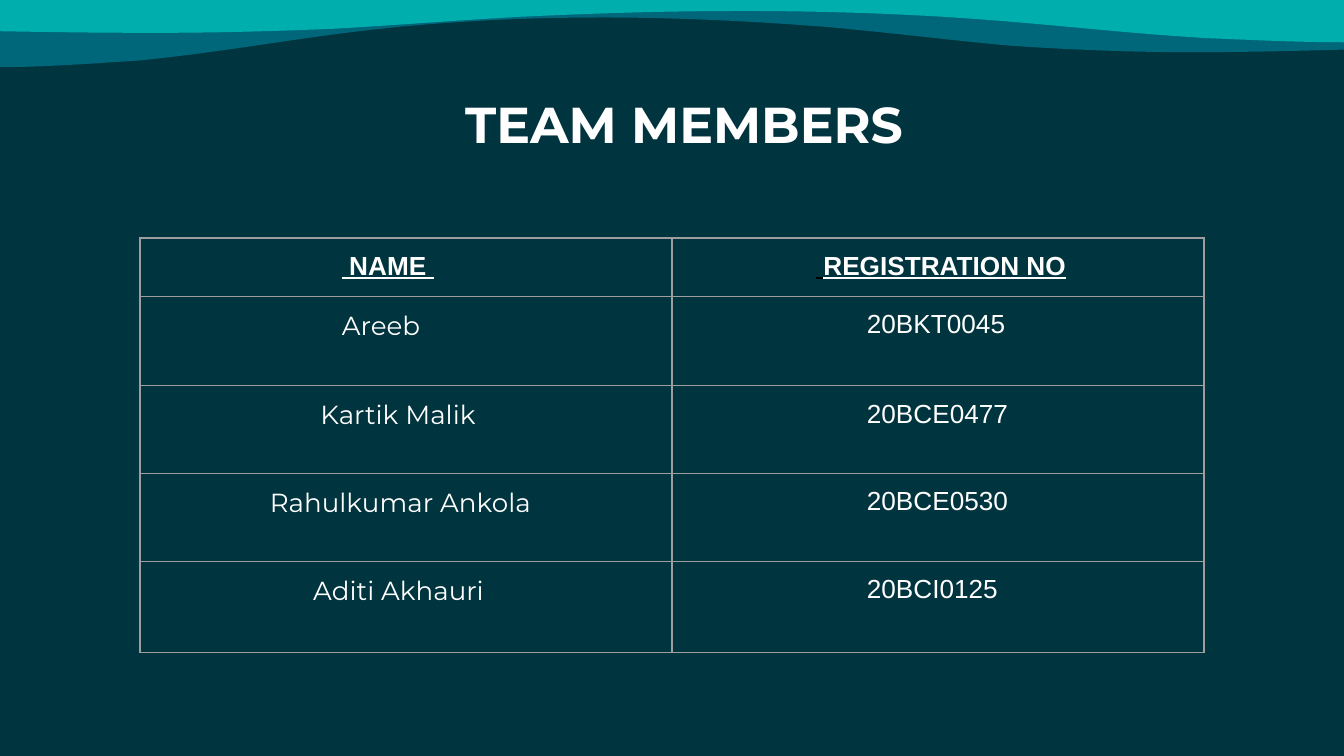
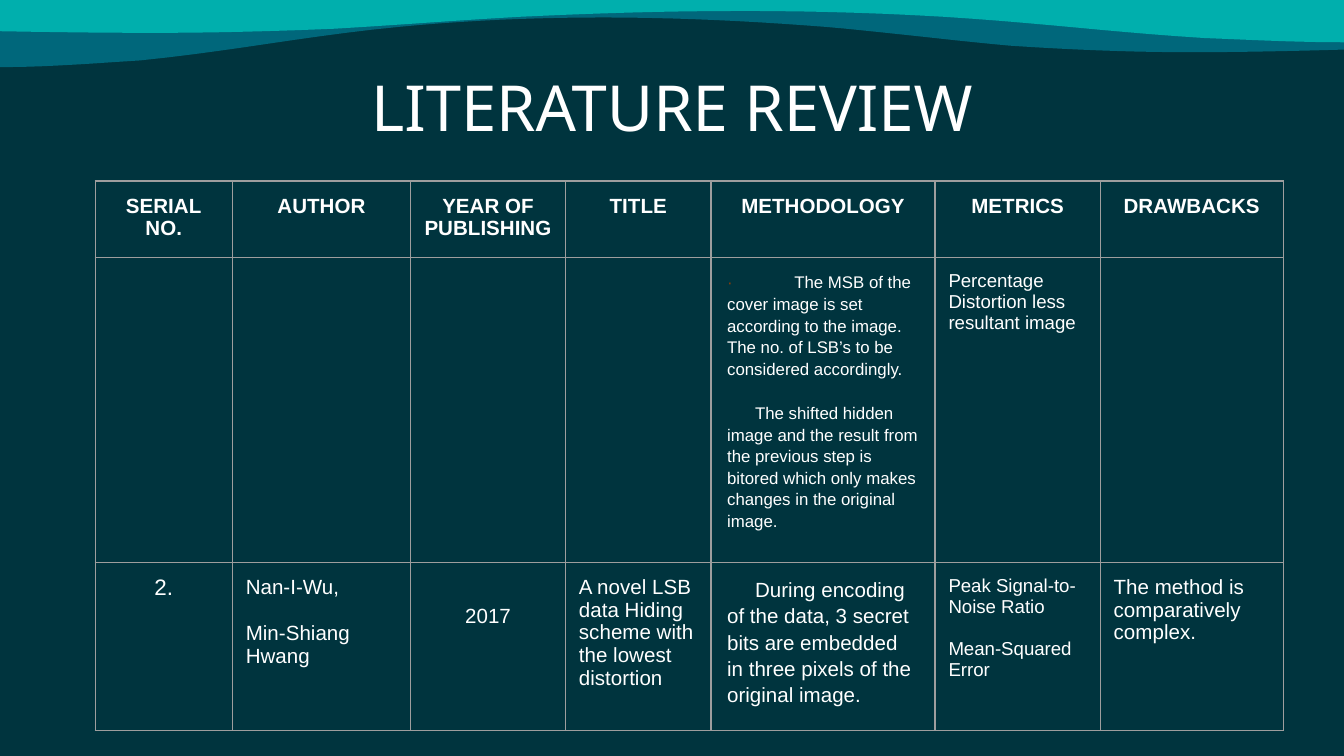
from dataclasses import dataclass, field

from lxml.etree import SubElement
from pptx import Presentation
from pptx.dml.color import RGBColor
from pptx.enum.text import MSO_ANCHOR as Anchor, PP_ALIGN as Align
from pptx.oxml.ns import qn
from pptx.util import Pt


@dataclass(frozen=True)
class Theme:
    background: str = "00343E"
    wave_back: str = "00677B"
    wave_front: str = "00AFAD"
    text: str = "FFFFFF"
    hidden: str = "000000"
    bullet: str = "833C0B"
    border: str = "9E9E9E"
    border_width: float = 0.75
    body_font: str = "Arial"
    name_font: str = "Montserrat"
    review_font: str = "Noto Sans"
    team_title: int = 27
    review_title: int = 34
    team_text: int = 14
    number: int = 12
    review_text: int = 11
    metrics: int = 10
    method: int = 9
    inset: float = 7.2
    method_inset: float = 8.6
    method_indent: float = 15


THEME = Theme()
WIDTH, HEIGHT = 720, 405
WAVE_START = (0, 36)
# Each curve: two control points and an end point.
WAVE_CURVES = [
    ((25, 36), (50, 34), (75, 32.4)),
    ((125, 27.4), (163, 19.4), (214, 14.4)),
    ((250, 11), (285, 9.4), (323, 9.4)),
    ((365, 9.4), (404, 11.5), (442, 14.4)),
    ((475, 17.3), (508, 21.5), (541, 24.5)),
    ((572, 26.6), (605, 28), (638, 28)),
    ((665, 28), (692, 27.4), (720, 26.6)),
]


@dataclass
class Text:
    """One paragraph; runs are (text, colour or None) pairs."""
    runs: list
    size: float
    font: str = THEME.body_font
    bold: bool = False
    underline: bool = False
    align: Align = Align.LEFT
    left: float = 0
    first_line: float = 0
    tab: float = 0
    before: float = 0
    spacing: float = 1.0


@dataclass
class Cell:
    paragraphs: list = field(default_factory=list)
    side: float = THEME.inset
    top: float = THEME.inset


def color(value):
    return RGBColor.from_string(value)


def plain(text, size, **options):
    return Text([(text, None)], size, **options)


def set_paragraph(paragraph, text):
    paragraph.alignment = text.align
    paragraph.line_spacing = text.spacing
    paragraph.space_before = Pt(text.before)
    properties = paragraph._p.get_or_add_pPr()
    properties.set("marL", str(Pt(text.left)))
    properties.set("indent", str(Pt(text.first_line)))
    if text.tab:
        tabs = SubElement(properties, qn("a:tabLst"))
        SubElement(tabs, qn("a:tab"), pos=str(Pt(text.tab)), algn="l")
    font = paragraph.font
    font.name, font.size = text.font, Pt(text.size)
    font.bold, font.underline = text.bold, text.underline
    font.color.rgb = color(THEME.text)
    for content, run_color in text.runs:
        run = paragraph.add_run()
        run.text = content
        if run_color:
            run.font.color.rgb = color(run_color)


def fill_frame(frame, texts):
    for index, text in enumerate(texts):
        paragraph = frame.add_paragraph() if index else frame.paragraphs[0]
        set_paragraph(paragraph, text)


def wave_edge(steps=10):
    """Sample the Bézier curves of the wave from left to right."""
    points = [WAVE_START]
    for first, second, end in WAVE_CURVES:
        start = points[-1]
        for step in range(1, steps + 1):
            t = step / steps
            weights = ((1 - t) ** 3, 3 * t * (1 - t) ** 2,
                       3 * t * t * (1 - t), t ** 3)
            corners = (start, first, second, end)
            points.append(tuple(
                sum(w * corner[axis] for w, corner in zip(weights, corners))
                for axis in (0, 1)))
    return points


def add_wave(slide, fill, mirrored=False, scale=1.0):
    edge = [(WIDTH - x if mirrored else x, y * scale) for x, y in wave_edge()]
    outline = [(Pt(x), Pt(y)) for x, y in edge]
    outline += [(outline[-1][0], 0), (outline[0][0], 0)]
    builder = slide.shapes.build_freeform(*outline[0])
    builder.add_line_segments(outline[1:], close=True)
    shape = builder.convert_to_shape()
    shape.shadow.inherit = False
    shape.fill.solid()
    shape.fill.fore_color.rgb = color(fill)
    shape.line.fill.background()


def add_base_slide(presentation):
    slide = presentation.slides.add_slide(presentation.slide_layouts[6])
    slide.background.fill.solid()
    slide.background.fill.fore_color.rgb = color(THEME.background)
    add_wave(slide, THEME.wave_back)
    add_wave(slide, THEME.wave_front, mirrored=True, scale=0.63)
    return slide


def add_title(slide, box, text):
    frame = slide.shapes.add_textbox(*map(Pt, box)).text_frame
    frame.word_wrap = True
    frame.vertical_anchor = Anchor.TOP
    frame.margin_left = frame.margin_right = Pt(THEME.inset)
    frame.margin_top = frame.margin_bottom = Pt(THEME.inset)
    fill_frame(frame, [text])


def set_borders(cell):
    properties = cell._tc.get_or_add_tcPr()
    for side in ("lnL", "lnR", "lnT", "lnB"):
        line = SubElement(properties, qn(f"a:{side}"),
                          w=str(Pt(THEME.border_width)))
        fill = SubElement(line, qn("a:solidFill"))
        SubElement(fill, qn("a:srgbClr"), val=THEME.border)


def add_grid(slide, left, top, widths, heights, rows):
    table = slide.shapes.add_table(
        len(heights), len(widths), Pt(left), Pt(top),
        Pt(sum(widths)), Pt(sum(heights))).table
    table.first_row = table.horz_banding = False
    for column, width in zip(table.columns, widths):
        column.width = Pt(width)
    for row, height, contents in zip(table.rows, heights, rows):
        row.height = Pt(height)
        for cell, content in zip(row.cells, contents):
            set_borders(cell)
            cell.fill.background()
            cell.margin_left = cell.margin_right = Pt(content.side)
            cell.margin_top = Pt(content.top)
            cell.margin_bottom = Pt(THEME.inset)
            fill_frame(cell.text_frame, content.paragraphs)


def add_team_slide(presentation):
    slide = add_base_slide(presentation)
    add_title(slide, (62.6, 42.5, 607.7, 342),
              plain("TEAM MEMBERS", THEME.team_title, font=THEME.name_font,
                    bold=True, align=Align.CENTER))
    size = THEME.team_text
    heading = {"bold": True, "underline": True}
    rows = [[
        Cell([plain(" NAME ", size, left=101, **heading)]),
        Cell([Text([(" ", THEME.hidden), ("REGISTRATION NO", None)], size,
                   left=70, **heading)]),
    ]]
    members = [
        ("Areeb", 101, "20BKT0045"),
        ("Kartik Malik", 89.5, "20BCE0477"),
        ("Rahulkumar Ankola", 62.4, "20BCE0530"),
        ("Aditi Akhauri", 85.6, "20BCI0125"),
    ]
    for name, indent, number in members:
        rows.append([
            Cell([plain(name, size, font=THEME.name_font, left=indent)]),
            Cell([plain(number, size, left=97.2)]),
        ])
    add_grid(slide, 75, 127.5, [285, 285], [30, 48, 47, 47, 49], rows)


def text_cell(size, *lines, gap=0, align=Align.LEFT, bold=False, top=THEME.inset):
    return Cell([plain(line, size, align=align, bold=bold,
                       before=gap if index else 0)
                 for index, line in enumerate(lines)], top=top)


def method_cell(*paragraphs):
    return Cell(list(paragraphs), side=THEME.method_inset)


def method_text(text, size, before=0):
    return plain(text, size, first_line=THEME.method_indent,
                 before=before, spacing=1.15)


def add_review_slide(presentation):
    slide = add_base_slide(presentation)
    add_title(slide, (56.2, 29.5, 607.7, 48.2),
              plain("LITERATURE REVIEW", THEME.review_title,
                    font=THEME.review_font, align=Align.CENTER))
    size = THEME.review_text
    headings = [("SERIAL", "NO."), ("AUTHOR",), ("YEAR OF PUBLISHING",),
                ("TITLE",), ("METHODOLOGY",), ("METRICS",), ("DRAWBACKS",)]
    rows = [
        [text_cell(size, *lines, align=Align.CENTER, bold=True)
         for lines in headings],
        [
            Cell(), Cell(), Cell(), Cell(),
            method_cell(
                Text([("·", THEME.bullet),
                      ("\tThe MSB of the cover image is set according to the "
                       "image. The no. of LSB’s to be considered "
                       "accordingly.", None)],
                     THEME.method, tab=THEME.method_indent, spacing=1.15),
                method_text("The shifted hidden image and the result from the "
                            "previous step is bitored which only makes changes "
                            "in the original image.", THEME.method, before=12)),
            text_cell(THEME.metrics,
                      "Percentage Distortion less resultant image"),
            Cell(),
        ],
        [
            text_cell(THEME.number, "2.", align=Align.CENTER),
            text_cell(size, "Nan-I-Wu,", "Min-Shiang Hwang", gap=12.5),
            text_cell(size, "2017", align=Align.CENTER, top=23.2),
            text_cell(size, "A novel LSB data Hiding scheme with the lowest "
                            "distortion"),
            method_cell(method_text(
                "During encoding of the data, 3 secret bits are embedded in "
                "three pixels of the original image.", size)),
            text_cell(THEME.metrics, "Peak Signal-to-Noise Ratio",
                      "Mean-Squared Error", gap=11.5),
            text_cell(size, "The method is comparatively complex."),
        ],
    ]
    add_grid(slide, 51, 97, [73.5, 95.5, 83, 78, 120, 88.5, 98],
             [38.6, 159.7, 84.6], rows)


def main():
    presentation = Presentation()
    presentation.slide_width, presentation.slide_height = Pt(WIDTH), Pt(HEIGHT)
    add_team_slide(presentation)
    add_review_slide(presentation)
    presentation.save("out.pptx")


if __name__ == "__main__":
    main()
